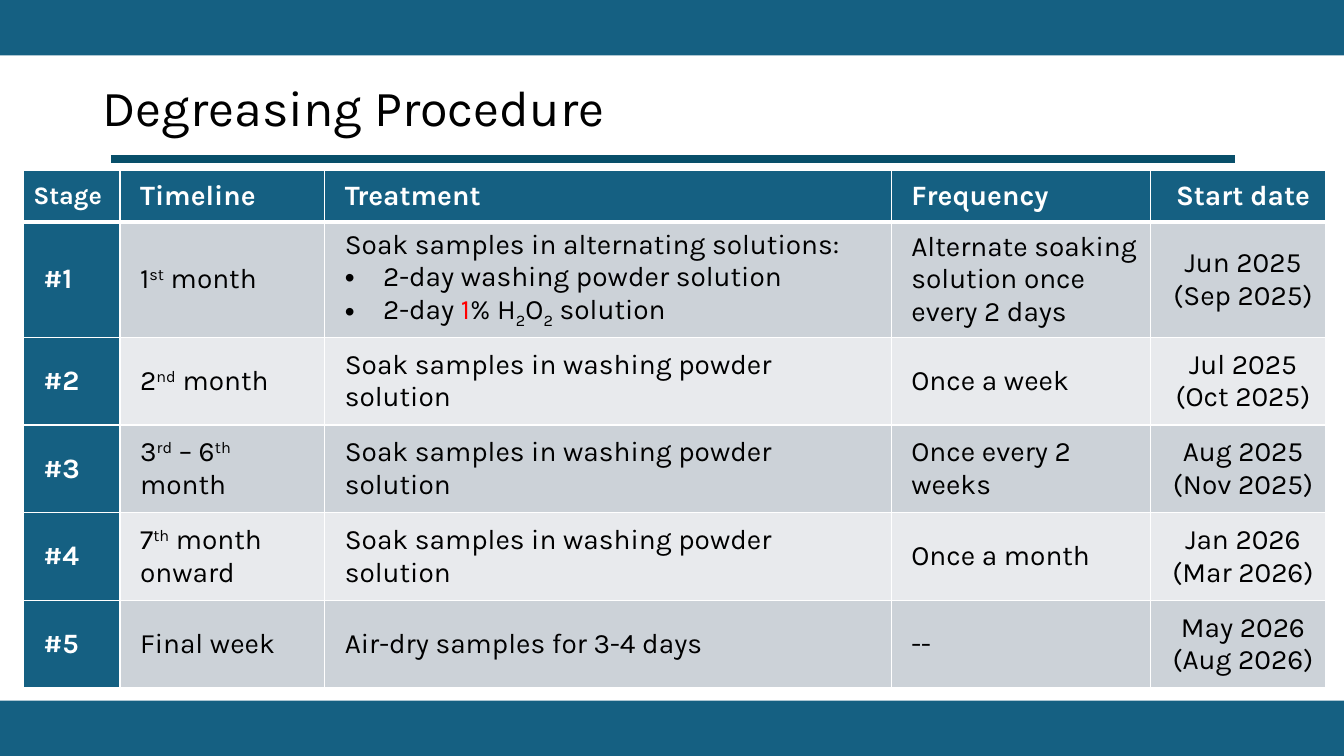
"""Build the degreasing procedure slide."""
from lxml.etree import SubElement
from pptx import Presentation
from pptx.dml.color import RGBColor
from pptx.enum.shapes import MSO_CONNECTOR, MSO_SHAPE
from pptx.enum.text import MSO_ANCHOR, PP_ALIGN
from pptx.oxml import parse_xml
from pptx.oxml.ns import nsdecls, qn
from pptx.util import Inches, Pt

TITLE = "Degreasing Procedure"
SOAK = "Soak samples in washing powder solution"
MIX = ("Soak samples in alternating solutions:\n"
       "•2-day washing powder solution\n"
       "•2-day |!1|% H|_2|O|_2| solution")
ROWS = [
    ("Stage", "Timeline", "Treatment", "Frequency", "Start date"),
    ("#1", "1|^st| month", MIX, "Alternate soaking solution once every 2 days",
     "Jun 2025|/(Sep 2025)"),
    ("#2", "2|^nd| month", SOAK, "Once a week", "Jul 2025|/(Oct 2025)"),
    ("#3", "3|^rd| – 6|^th| month", SOAK, "Once every 2 weeks",
     "Aug 2025|/(Nov 2025)"),
    ("#4", "7|^th| month onward", SOAK, "Once a month",
     "Jan 2026|/(Mar 2026)"),
    ("#5", "Final week", "Air-dry samples for 3-4 days", "--",
     "May 2026|/(Aug 2026)"),
]
WIDTHS = [0.96, 2.03, 5.62, 2.57, 1.74]
HEIGHTS = [0.51, 1.14] + [0.87] * 4
BLUE, BANDS = "156082", ("E8EAED", "CCD2D8")
WHITE, BLACK, RED, TEAL = "FFFFFF", "000000", "FF0000", "084F6A"
SHIFTS = {"^": "30000", "_": "-25000"}


def color(code):
    return RGBColor.from_string(code)


def write(frame, text, size=20, ink=BLACK, bold=False, align=PP_ALIGN.LEFT,
          space=None):
    """Fill a frame; ^ raises, _ lowers, ! reddens and / breaks a piece."""
    frame.word_wrap = True
    for i, line in enumerate(text.split("\n")):
        para = frame.add_paragraph() if i else frame.paragraphs[0]
        para.alignment = align
        para.line_spacing = space
        if line.startswith("•"):
            line = line[1:]
            props = para._p.get_or_add_pPr()
            props.set("marL", str(Inches(0.38)))
            props.set("indent", str(-Inches(0.38)))
            SubElement(props, qn("a:buFont")).set("typeface", "Arial")
            SubElement(props, qn("a:buChar")).set("char", "•")
        for piece in line.split("|"):
            mark = piece[0] if piece[0] in "^_!/" else ""
            if mark == "/":
                para.add_line_break()
            run = para.add_run()
            run.text = piece[len(mark):]
            font = run.font
            font.name, font.size, font.bold = "Karla", Pt(size), bold
            font.color.rgb = color(RED if mark == "!" else ink)
            if mark in SHIFTS:
                run._r.get_or_add_rPr().set("baseline", SHIFTS[mark])


def edge(cell, row):
    """Draw white cell borders, thick below the header row."""
    sides = {"L": 1, "R": 1, "T": 3 if row == 1 else 1,
             "B": 3 if row == 0 else 1}
    props = cell._tc.get_or_add_tcPr()
    for i, (side, width) in enumerate(sides.items()):
        props.insert(i, parse_xml(
            f'<a:ln{side} {nsdecls("a")} w="{Pt(width)}"><a:solidFill>'
            f'<a:srgbClr val="{WHITE}"/></a:solidFill></a:ln{side}>'))


def frame_page(slide):
    for top in (0, 6.95):
        bar = slide.shapes.add_shape(MSO_SHAPE.RECTANGLE, 0, Inches(top),
                                     Inches(13.33), Inches(0.55))
        bar.shadow.inherit = False
        bar.fill.solid()
        bar.fill.fore_color.rgb = color(BLUE)
        bar.line.fill.background()
    rule = slide.shapes.add_connector(MSO_CONNECTOR.STRAIGHT, Inches(1.1),
                                      Inches(1.58), Inches(12.25), Inches(1.58))
    rule.line.color.rgb = color(TEAL)
    rule.line.width = Pt(6)
    SubElement(rule._element.spPr, qn("a:effectLst"))
    box = slide.shapes.add_textbox(Inches(0.92), Inches(0.62),
                                   Inches(11.5), Inches(0.95))
    box.text_frame.vertical_anchor = MSO_ANCHOR.MIDDLE
    write(box.text_frame, TITLE, size=36, space=0.9)


def add_grid(slide):
    grid = slide.shapes.add_table(
        len(ROWS), len(WIDTHS), Inches(0.23), Inches(1.69),
        Inches(sum(WIDTHS)), Inches(sum(HEIGHTS))).table
    for col, width in zip(grid.columns, WIDTHS):
        col.width = Inches(width)
    for r, (row, height) in enumerate(zip(ROWS, HEIGHTS)):
        grid.rows[r].height = Inches(height)
        for c, text in enumerate(row):
            cell = grid.cell(r, c)
            head, first = r == 0 or c == 0, r == c == 0
            cell.fill.solid()
            cell.fill.fore_color.rgb = color(BLUE if head else BANDS[r % 2])
            cell.vertical_anchor = MSO_ANCHOR.MIDDLE
            cell.margin_left = Inches(0.1 if first else 0.2)
            edge(cell, r)
            write(cell.text_frame, text, size=18 if first else 20, bold=head,
                  ink=WHITE if head else BLACK,
                  align=PP_ALIGN.CENTER if c == 4 else PP_ALIGN.LEFT)


def main():
    deck = Presentation()
    deck.slide_width, deck.slide_height = Inches(13.33), Inches(7.5)
    slide = deck.slides.add_slide(deck.slide_layouts[6])
    frame_page(slide)
    add_grid(slide)
    deck.save("out.pptx")


if __name__ == "__main__":
    main()
